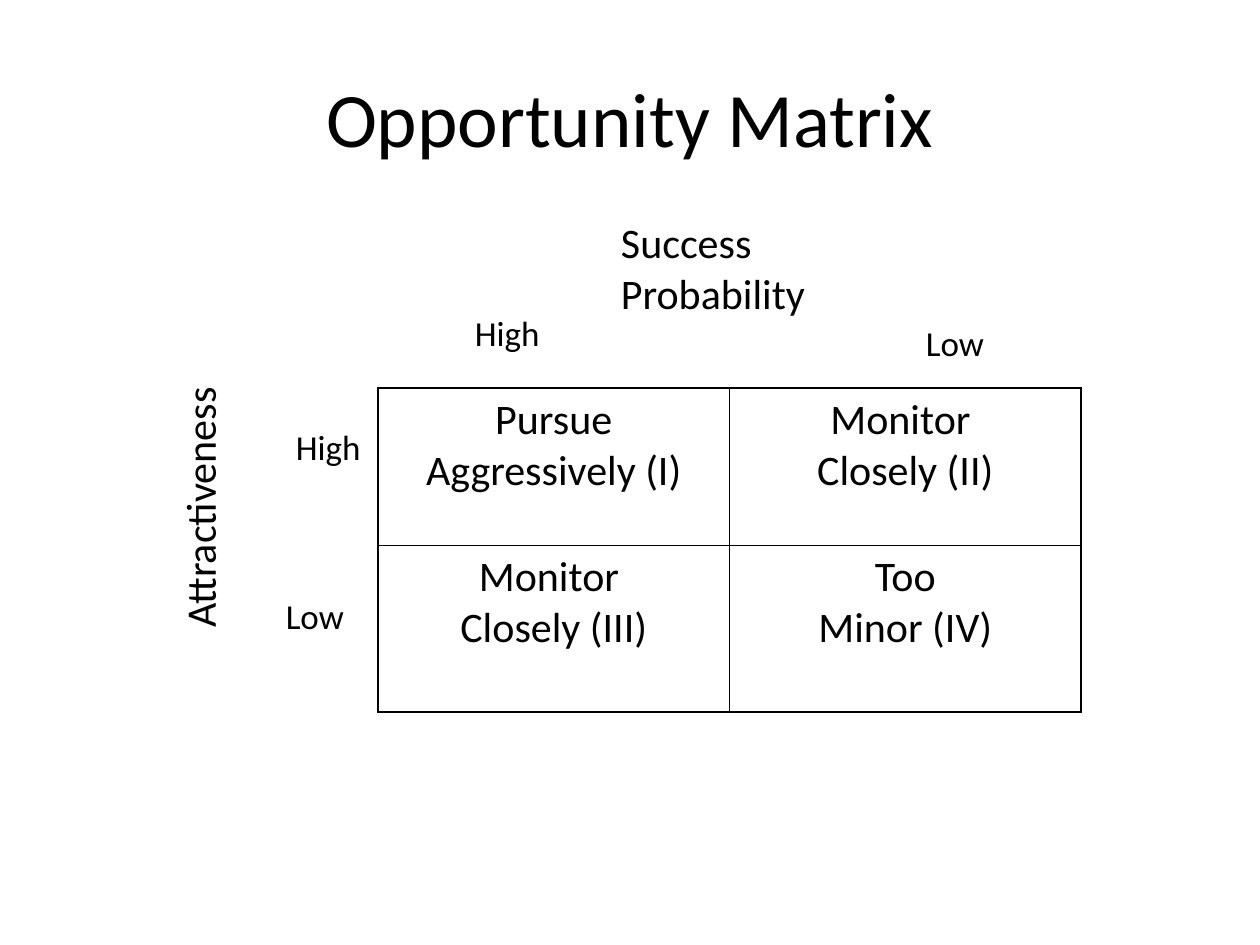
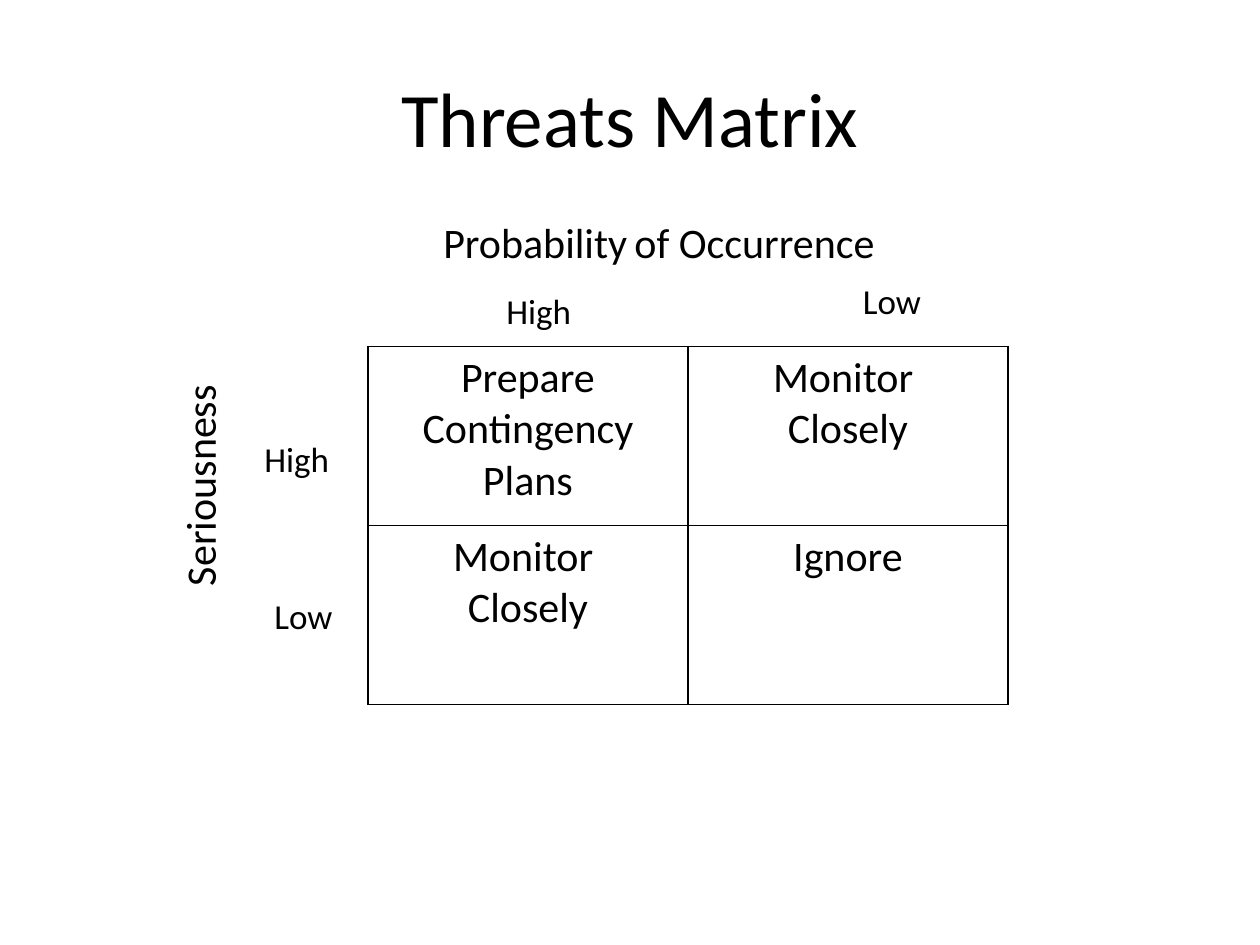
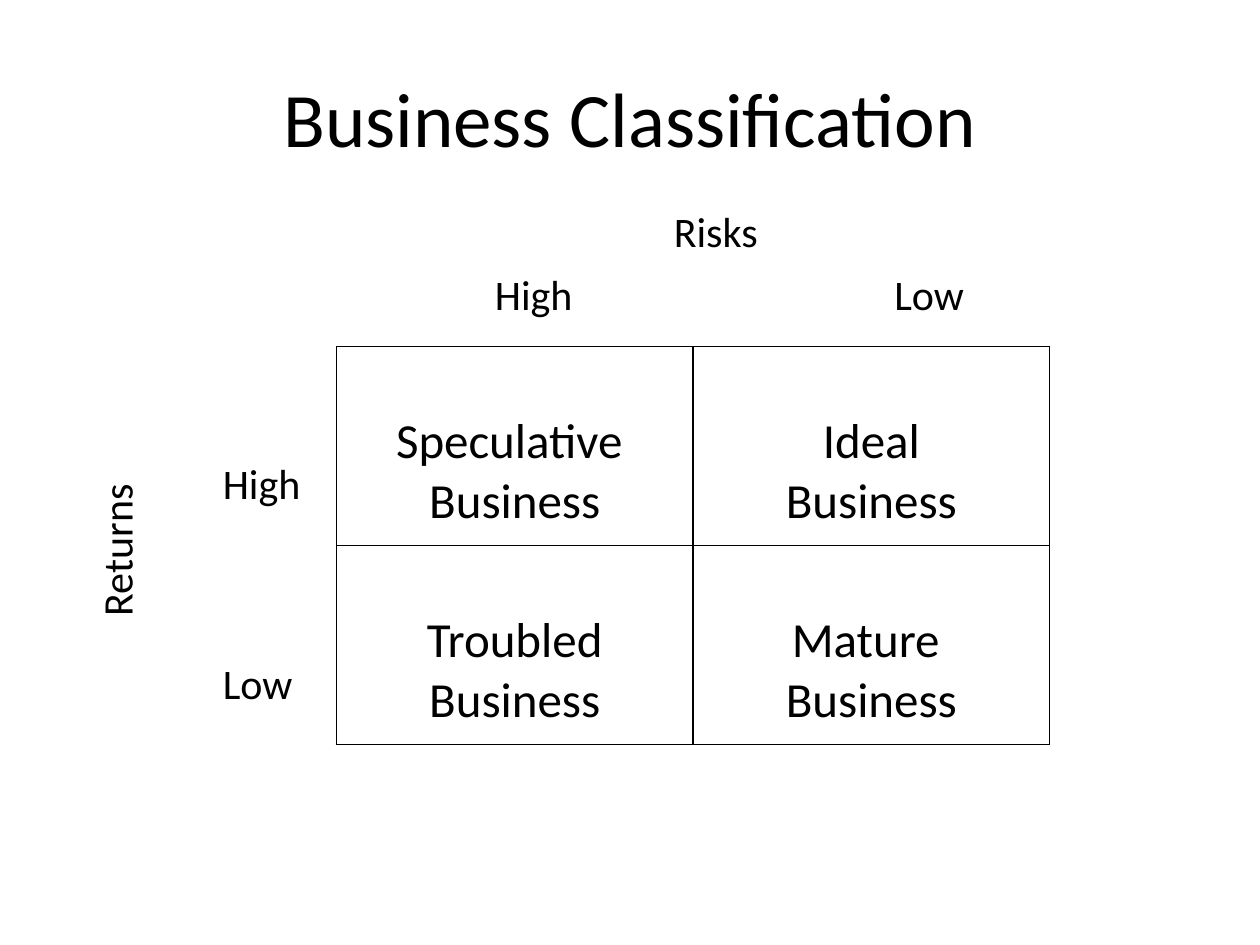
from lxml.etree import SubElement
from pptx import Presentation
from pptx.dml.color import RGBColor
from pptx.enum.text import MSO_ANCHOR, MSO_AUTO_SIZE, PP_ALIGN
from pptx.oxml.ns import qn
from pptx.util import Inches, Pt

FONT = "Calibri"
INK = "000000"
TITLE_ONLY = 5


def rgb(value):
    return RGBColor.from_string(value)


class Deck:
    """Hold the shared matrix style and the current slide."""

    def __init__(self):
        self.prs = Presentation()
        self.prs.slide_width = Inches(10)
        self.prs.slide_height = Inches(7.5)
        self.slide = None

    def style(self, p, size, align=PP_ALIGN.LEFT):
        p.alignment = align
        p.font.name = FONT
        p.font.size = Pt(size)
        p.font.color.rgb = rgb(INK)

    def add_slide(self, title):
        self.slide = self.prs.slides.add_slide(self.prs.slide_layouts[TITLE_ONLY])
        sp = self.slide.shapes.title
        sp.left, sp.top = Inches(0.5), Inches(0.3)
        sp.width, sp.height = Inches(9), Inches(1.25)
        tf = sp.text_frame
        tf.text = title
        tf.vertical_anchor = MSO_ANCHOR.MIDDLE
        self.style(tf.paragraphs[0], 44, PP_ALIGN.CENTER)

    def label(self, text, left, top, width, height=0.5, size=24, wrap=True, vert=None):
        sp = self.slide.shapes.add_textbox(
            Inches(left), Inches(top), Inches(width), Inches(height))
        tf = sp.text_frame
        tf.word_wrap = wrap
        tf.auto_size = MSO_AUTO_SIZE.SHAPE_TO_FIT_TEXT
        if vert:
            sp.element.txBody.bodyPr.set("vert", vert)
        p = tf.paragraphs[0]
        p.text = text
        self.style(p, size)
        return p

    def level(self, text, left, top, width, wrap=True):
        self.label(text, left, top, width, 0.44, 20, wrap)

    def side_label(self, text, left, top, height, wrap=True):
        self.label(text, left, top, 0.61, height, wrap=wrap, vert="vert270")

    def border(self, cell):
        tc_pr = cell._tc.get_or_add_tcPr()
        for side in ("lnL", "lnR", "lnT", "lnB"):
            ln = SubElement(tc_pr, qn(f"a:{side}"), w=str(Pt(1)))
            fill = SubElement(ln, qn("a:solidFill"))
            SubElement(fill, qn("a:srgbClr"), val=INK)

    def matrix(self, left, top, col_width, row_heights, texts, size=24, margin_top=0.05):
        table = self.slide.shapes.add_table(
            2, 2, Inches(left), Inches(top),
            Inches(2 * col_width), Inches(sum(row_heights))).table
        table.first_row = table.horz_banding = False
        for col in table.columns:
            col.width = Inches(col_width)
        for row, height in zip(table.rows, row_heights):
            row.height = Inches(height)
        for cell, text in zip(table.iter_cells(), texts):
            self.border(cell)
            cell.fill.background()
            cell.margin_top = Inches(margin_top)
            cell.text = text
            for p in cell.text_frame.paragraphs:
                self.style(p, size, PP_ALIGN.CENTER)


def opportunity_matrix(deck):
    deck.add_slide("Opportunity Matrix")
    deck.matrix(3, 3.08, 2.79, (1.25, 1.32), (
        "Pursue\nAggressively (I)", "Monitor \nClosely (II)",
        "Monitor \nClosely (III)", "Too\nMinor (IV)"))
    deck.level("High", 3.67, 2.42, 0.72, wrap=False)
    deck.level("Low", 7.25, 2.5, 0.67, wrap=False)
    deck.label("Success Probability", 4.83, 1.67, 2.49, 0.91)
    deck.side_label("Attractiveness", 1.33, 2.83, 2.25)
    deck.level("High", 2.25, 3.33, 1)
    deck.level("Low", 2.17, 4.67, 1.04)


def threats_matrix(deck):
    deck.add_slide("Threats Matrix")
    deck.matrix(2.92, 2.75, 2.54, (1.42, 1.42), (
        "Prepare Contingency Plans", "Monitor \nClosely",
        "Monitor \nClosely", "Ignore"))
    p = deck.label("Probability", 3.42, 1.67, 4)
    for text, size in ((" ", 18), ("of Occurrence", 24)):
        r = p.add_run()
        r.text = text
        r.font.size = Pt(size)
    deck.side_label("Seriousness", 1.33, 2.83, 1.92)
    deck.level("High", 3.92, 2.25, 1)
    deck.level("Low", 6.75, 2.17, 0.92)
    deck.level("High", 2, 3.42, 0.92)
    deck.level("Low", 2.08, 4.67, 0.96)


def business_classification(deck):
    deck.add_slide("Business Classification")
    deck.matrix(2.67, 2.75, 2.83, (1.58, 1.58), (
        "Speculative \nBusiness", "Ideal\nBusiness",
        "Troubled\nBusiness", "Mature \nBusiness"), size=28, margin_top=0.52)
    deck.label("Risks", 5.25, 1.58, 0.87, wrap=False)
    deck.label("High", 3.83, 2.08, 0.82)
    deck.label("Low", 7, 2.08, 0.76)
    deck.label("High", 1.67, 3.58, 1.16)
    deck.label("Low", 1.67, 5.17, 1)
    deck.side_label("Returns", 0.67, 3.83, 1.16, wrap=False)


def main():
    deck = Deck()
    opportunity_matrix(deck)
    threats_matrix(deck)
    business_classification(deck)
    deck.prs.save("out.pptx")


if __name__ == "__main__":
    main()
